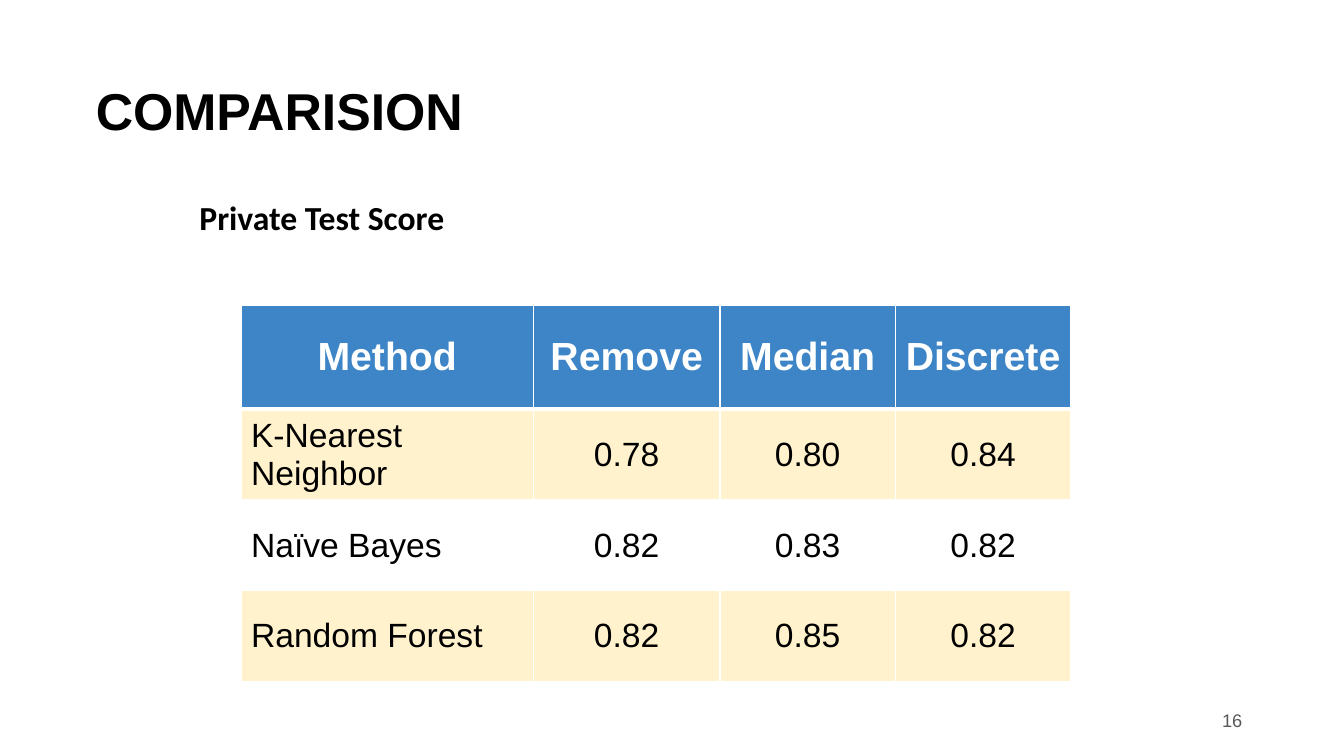
from pptx import Presentation
from pptx.dml.color import RGBColor
from pptx.enum import text
from pptx.oxml import parse_xml
from pptx.oxml.ns import nsdecls
from pptx.util import Inches, Pt

# Content
TITLE = "COMPARISION"
SUBTITLE = "Private Test Score"
PAGE = "16"
SCORES = [
    ("Method", "Remove", "Median", "Discrete"),
    ("K-Nearest Neighbor", "0.78", "0.80", "0.84"),
    ("Naïve Bayes", "0.82", "0.83", "0.82"),
    ("Random Forest", "0.82", "0.85", "0.82"),
]
COLUMNS = (2.9, 1.85, 1.74, 1.74)
ROWS = (1.03, 0.9, 0.9, 0.9)
COLORS = {"ink": "000000", "white": "FFFFFF", "header": "3D85C6",
          "band": "FFF2CC", "page": "595959"}
LEFT, CENTER, RIGHT = (text.PP_ALIGN.LEFT, text.PP_ALIGN.CENTER,
                       text.PP_ALIGN.RIGHT)


def color(name):
    return RGBColor.from_string(COLORS[name])


def write(frame, words, size, ink="ink", font="Arial", bold=False, align=LEFT):
    frame.text = words
    frame.word_wrap = True
    frame.vertical_anchor = text.MSO_ANCHOR.MIDDLE
    paragraph = frame.paragraphs[0]
    paragraph.alignment = align
    face = paragraph.runs[0].font
    face.name, face.size, face.bold = font, Pt(size), bold
    face.color.rgb = color(ink)


def add_borders(cell, bottom, top):
    properties = cell._tc.get_or_add_tcPr()
    widths = {"lnL": 1, "lnR": 1, "lnT": top, "lnB": bottom}
    for place, (side, width) in enumerate(widths.items()):
        properties.insert(place, parse_xml(
            f'<a:{side} {nsdecls("a")} w="{Pt(width)}"><a:solidFill>'
            f'<a:srgbClr val="{COLORS["white"]}"/></a:solidFill></a:{side}>'))


deck = Presentation()
deck.slide_width, deck.slide_height = Inches(13.33), Inches(7.5)
slide = deck.slides.add_slide(deck.slide_layouts[5])

# Title
title = slide.shapes.title
title.left, title.top, title.width, title.height = map(
    Inches, (0.85, 0.4, 11.5, 1.45))
write(title.text_frame, TITLE, 37, bold=True)
title.text_frame.paragraphs[0].line_spacing = 0.9

# Subtitle and page number
subtitle = slide.shapes.add_textbox(*map(Inches, (1.88, 1.85, 10.7, 0.61)))
write(subtitle.text_frame, SUBTITLE, 24, font="Calibri", bold=True)
page = slide.shapes.add_textbox(*map(Inches, (9.42, 6.95, 3, 0.4)))
write(page.text_frame, PAGE, 13, ink="page", align=RIGHT)

# Score table
scores = slide.shapes.add_table(
    len(ROWS), len(COLUMNS),
    *map(Inches, (2.39, 3.03, sum(COLUMNS), sum(ROWS)))).table
for column, width in zip(scores.columns, COLUMNS):
    column.width = Inches(width)
for r, (row, height) in enumerate(zip(SCORES, ROWS)):
    scores.rows[r].height = Inches(height)
    header = r == 0
    fill = "header" if header else "band" if r % 2 else "white"
    for c, words in enumerate(row):
        cell = scores.cell(r, c)
        write(cell.text_frame, words, 28 if header else 24,
              ink="white" if header else "ink", bold=header,
              align=CENTER if header or c else LEFT)
        cell.vertical_anchor = text.MSO_ANCHOR.MIDDLE
        cell.fill.solid()
        cell.fill.fore_color.rgb = color(fill)
        add_borders(cell, bottom=3 if header else 1, top=3 if r == 1 else 1)

deck.save("out.pptx")
